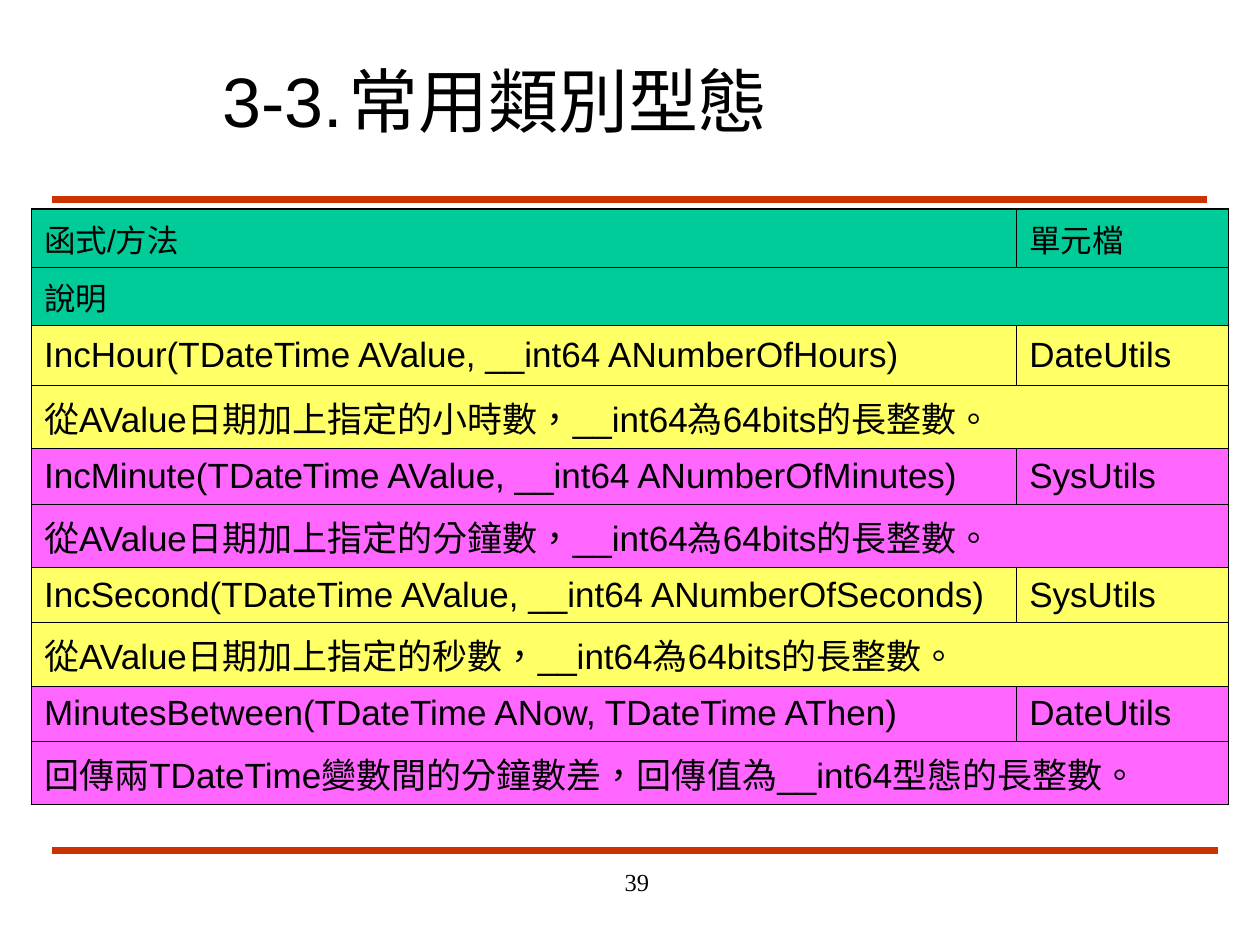
from dataclasses import dataclass

from pptx import Presentation
from pptx.dml.color import RGBColor
from pptx.enum.lang import MSO_LANGUAGE_ID
from pptx.enum.shapes import MSO_CONNECTOR
from pptx.enum.text import MSO_ANCHOR, PP_ALIGN
from pptx.oxml.ns import qn
from pptx.util import Pt
from lxml.etree import SubElement

COLORS = {
    "text": "000000",
    "rule": "CC3300",
    "header": "00CC99",
    "yellow": "FFFF66",
    "pink": "FF66FF",
}
OUTER, INNER = 1.08, 0.45


@dataclass
class Rule:
    y: float
    right: float


@dataclass
class Entry:
    signature: str
    unit: str
    description: str
    fill: str
    size: float = 20
    heights: tuple[float, float] = (31.5, 36.3)


RULES = [Rule(114, 690), Rule(486, 696)]
ENTRIES = [
    Entry("函式/方法", "單元檔", "說明", "header", 18, (33.2, 33.2)),
    Entry("IncHour(TDateTime AValue, __int64 ANumberOfHours)", "DateUtils",
          "從AValue日期加上指定的小時數，__int64為64bits的長整數。", "yellow",
          heights=(34.3, 36.3)),
    Entry("IncMinute(TDateTime AValue, __int64 ANumberOfMinutes)", "SysUtils",
          "從AValue日期加上指定的分鐘數，__int64為64bits的長整數。", "pink"),
    Entry("IncSecond(TDateTime AValue, __int64 ANumberOfSeconds)", "SysUtils",
          "從AValue日期加上指定的秒數，__int64為64bits的長整數。", "yellow"),
    Entry("MinutesBetween(TDateTime ANow, TDateTime AThen)", "DateUtils",
          "回傳兩TDateTime變數間的分鐘數差，回傳值為__int64型態的長整數。", "pink"),
]


def rgb(name: str) -> RGBColor:
    return RGBColor.from_string(COLORS[name])


def set_font(p, size: float, name: str = "Arial") -> None:
    p.font.size = Pt(size)
    p.font.name = name
    p.font.color.rgb = rgb("text")
    for r in p.runs:
        r.font.language_id = MSO_LANGUAGE_ID.TRADITIONAL_CHINESE


def add_rule(s, rule: Rule) -> None:
    line = s.shapes.add_connector(
        MSO_CONNECTOR.STRAIGHT, Pt(30), Pt(rule.y), Pt(rule.right), Pt(rule.y))
    line.line.color.rgb = rgb("rule")
    line.line.width = Pt(4.5)
    SubElement(line._element.spPr, qn("a:effectLst"))


def add_text(s, box: tuple[float, float, float, float], text: str, size: float,
             font: str, anchor, align, tab: float = 0) -> None:
    tf = s.shapes.add_textbox(*map(Pt, box)).text_frame
    tf.word_wrap = True
    tf.vertical_anchor = anchor
    p = tf.paragraphs[0]
    p.text = text
    p.alignment = align
    if tab:
        tabs = SubElement(p._p.get_or_add_pPr(), qn("a:tabLst"))
        SubElement(tabs, qn("a:tab"), pos=str(Pt(tab)), algn="l")
    set_font(p, size, font)


def set_borders(cell, widths: dict[str, float]) -> None:
    tcPr = cell._tc.get_or_add_tcPr()
    for side, width in widths.items():
        ln = SubElement(tcPr, qn(f"a:ln{side}"), w=str(Pt(width)))
        fill = SubElement(ln, qn("a:solidFill"))
        SubElement(fill, qn("a:srgbClr"), val=COLORS["text"])


def fill_cell(cell, text: str, entry: Entry) -> None:
    cell.vertical_anchor = MSO_ANCHOR.MIDDLE
    p = cell.text_frame.paragraphs[0]
    p.text = text
    set_font(p, entry.size)


def add_entries(s, entries: list[Entry]) -> None:
    heights = [h for entry in entries for h in entry.heights]
    table = s.shapes.add_table(
        len(heights), 2, Pt(18), Pt(119.5), Pt(684), Pt(sum(heights))).table
    for column, width in zip(table.columns, (563, 121)):
        column.width = Pt(width)
    for i, height in enumerate(heights):
        entry = entries[i // 2]
        table.rows[i].height = Pt(height)
        is_description = i % 2 == 1
        for j in range(2):
            cell = table.cell(i, j)
            set_borders(cell, {
                "L": INNER if j else OUTER,
                "R": OUTER if j or is_description else INNER,
                "T": INNER if i else OUTER,
                "B": INNER,
            })
            cell.fill.solid()
            cell.fill.fore_color.rgb = rgb(entry.fill)
        if is_description:
            table.cell(i, 0).merge(table.cell(i, 1))
            fill_cell(table.cell(i, 0), entry.description, entry)
        else:
            fill_cell(table.cell(i, 0), entry.signature, entry)
            fill_cell(table.cell(i, 1), entry.unit, entry)


def main() -> None:
    prs = Presentation()
    prs.slide_width, prs.slide_height = Pt(720), Pt(540)
    s = prs.slides.add_slide(prs.slide_layouts[6])
    for rule in RULES:
        add_rule(s, rule)
    add_text(s, (120, 24, 546, 66), "3-3.\t常用類別型態", 40, "Arial",
             MSO_ANCHOR.MIDDLE, PP_ALIGN.LEFT, tab=72)
    add_entries(s, ENTRIES)
    add_text(s, (228, 492, 150, 36), "39", 14, "Times New Roman",
             MSO_ANCHOR.TOP, PP_ALIGN.RIGHT)
    prs.save("out.pptx")


if __name__ == "__main__":
    main()
